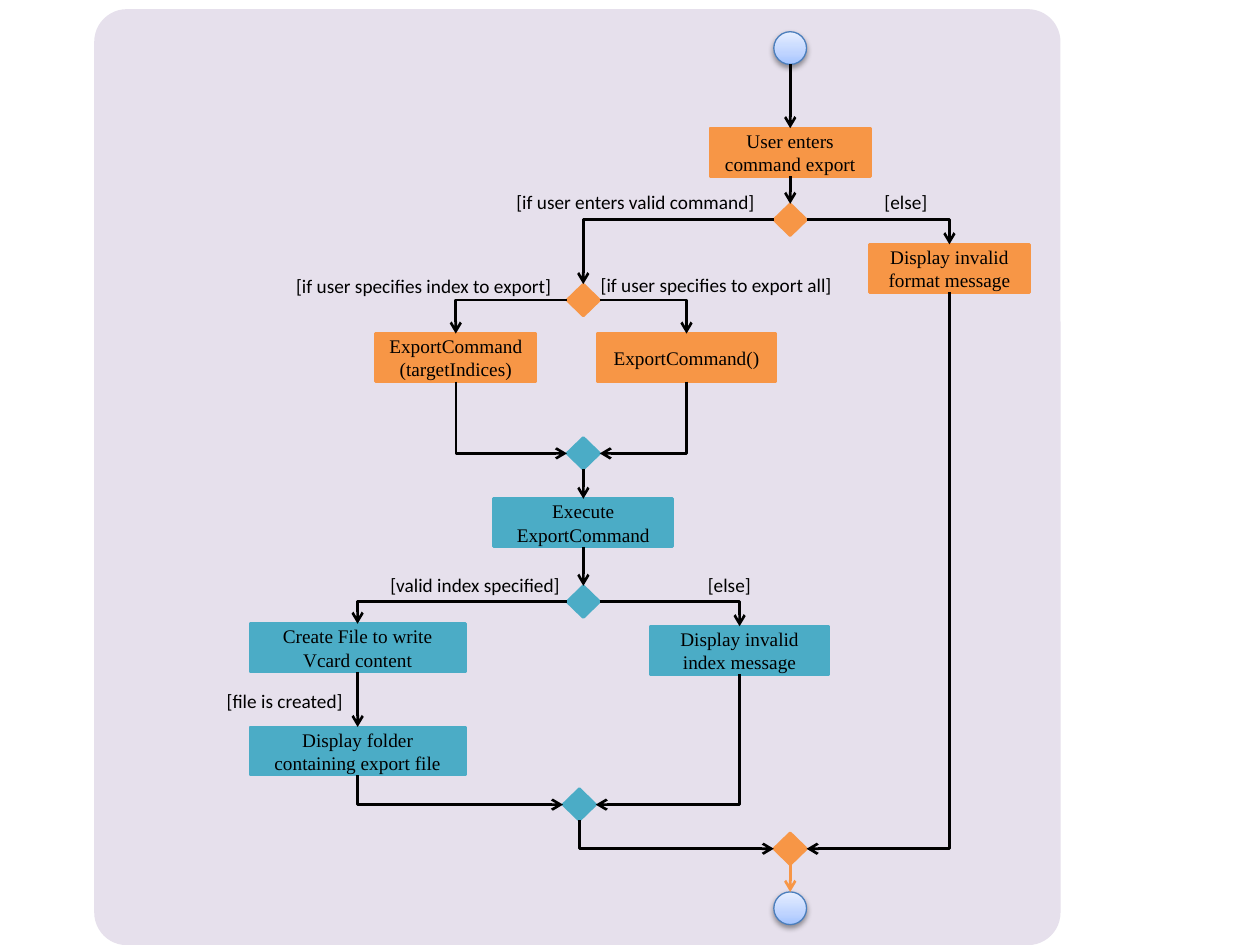
from dataclasses import dataclass

from lxml import etree
from pptx import Presentation
from pptx.dml.color import RGBColor
from pptx.enum import shapes, text
from pptx.oxml import ns
from pptx.util import Cm, Emu, Pt

TOP, LEFT, BOTTOM, RIGHT = range(4)


@dataclass(frozen=True)
class Theme:
    panel: str = "E6E0EC"
    command: str = "F79646"
    action: str = "4BACC6"
    ink: str = "000000"
    ring: str = "4B7EBC"
    glow: tuple = ((0, "A4C4FF"), (35, "BFD4FF"), (100, "E6EEFF"))
    step_font: str = "Times New Roman"
    label_font: str = "Calibri"
    size: float = 11
    stroke: float = 1.5
    hairline: float = 0.75


THEME = Theme()


def add_xml(parent, tag, **attributes):
    names = {key: str(value) for key, value in attributes.items()}
    return etree.SubElement(parent, ns.qn(tag), names)


def add_color(parent, color):
    return add_xml(parent, "a:srgbClr", val=color)


def style_text(box, words, font):
    para = box.text_frame.paragraphs[0]
    span = para.add_run()
    span.text = words
    para.font.name = font
    para.font.size = Pt(THEME.size)
    para.font.color.rgb = RGBColor.from_string(THEME.ink)
    return para, span


def add_node(page, kind, x, y, width, height, color):
    node = page.shapes.add_shape(
        kind, Cm(x - width / 2), Cm(y - height / 2), Cm(width), Cm(height))
    node.shadow.inherit = False
    node.fill.solid()
    node.fill.fore_color.rgb = RGBColor.from_string(color)
    node.line.color.rgb = RGBColor.from_string(color)
    node.line.width = Pt(THEME.stroke)
    return node


def add_panel(page):
    panel = add_node(page, shapes.MSO_SHAPE.ROUNDED_RECTANGLE,
                     11.64, 9.62, 19.48, 18.87, THEME.panel)
    panel.adjustments[0] = 0.035
    panel.line.fill.background()


def add_step(page, words, x, y, width, color):
    step = add_node(page, shapes.MSO_SHAPE.RECTANGLE, x, y, width, 0.97, color)
    step.text_frame.word_wrap = True
    step.text_frame.vertical_anchor = text.MSO_ANCHOR.MIDDLE
    para, span = style_text(step, words, THEME.step_font)
    para.alignment = text.PP_ALIGN.CENTER
    outline = add_xml(span._r.get_or_add_rPr(), "a:ln", w=Pt(THEME.hairline))
    add_color(add_xml(outline, "a:solidFill"), THEME.ink)
    return step


def add_decision(page, x, y, color):
    return add_node(page, shapes.MSO_SHAPE.FLOWCHART_DECISION,
                    x, y, 0.66, 0.64, color)


def add_terminal(page, x, y):
    terminal = add_node(page, shapes.MSO_SHAPE.OVAL, x, y, 0.66, 0.66, THEME.ring)
    terminal.line.width = Pt(THEME.hairline)
    terminal.fill.gradient()
    terminal.fill.gradient_angle = 90
    properties = terminal._element.spPr
    stops = properties.find(ns.qn("a:gradFill")).find(ns.qn("a:gsLst"))
    for stop in list(stops):
        stops.remove(stop)
    for percent, color in THEME.glow:
        add_color(add_xml(stops, "a:gs", pos=percent * 1000), color)
    shadow = add_xml(properties.find(ns.qn("a:effectLst")), "a:outerShdw",
                     blurRad=Pt(3.1), dist=Pt(1.6), dir=5400000, rotWithShape=0)
    add_xml(add_color(shadow, THEME.ink), "a:alpha", val=38000)
    return terminal


def add_label(page, words, left, top, width):
    label = page.shapes.add_textbox(Cm(left), Cm(top), Cm(width), Cm(0.74))
    label.text_frame.word_wrap = True
    label.text_frame.auto_size = text.MSO_AUTO_SIZE.SHAPE_TO_FIT_TEXT
    style_text(label, words, THEME.label_font)


def side_point(node, side):
    across = {LEFT: 0, RIGHT: node.width}.get(side, node.width // 2)
    down = {TOP: 0, BOTTOM: node.height}.get(side, node.height // 2)
    return node.left + across, node.top + down


def style_arrow(arrow, color):
    arrow.line.color.rgb = RGBColor.from_string(color)
    arrow.line.width = Pt(THEME.stroke)
    properties = arrow._element.spPr
    add_xml(properties.find(ns.qn("a:ln")), "a:tailEnd", type="arrow")
    add_xml(properties, "a:effectLst")


def add_drop(page, start, end, color=THEME.ink):
    arrow = page.shapes.add_connector(shapes.MSO_CONNECTOR.STRAIGHT, 0, 0, 0, 0)
    arrow.begin_connect(start, BOTTOM)
    arrow.end_connect(end, TOP)
    style_arrow(arrow, color)


def add_bend(page, start, start_side, end, end_side):
    x1, y1 = side_point(start, start_side)
    x2, y2 = side_point(end, end_side)
    arrow = page.shapes.add_connector(shapes.MSO_CONNECTOR.ELBOW, x1, y1, x2, y2)
    properties = arrow._element.spPr
    properties.find(ns.qn("a:prstGeom")).set("prst", "bentConnector2")
    if start_side == BOTTOM:
        run, fall = abs(x2 - x1), y2 - y1
        arrow.left = Emu((x1 + x2 - fall) // 2)
        arrow.top = Emu((y1 + y2 - run) // 2)
        arrow.width, arrow.height = Emu(fall), Emu(run)
        frame = properties.find(ns.qn("a:xfrm"))
        rightward = x2 > x1
        frame.set("rot", str((270 if rightward else 90) * 60000))
        frame.set("flipH", "1" if rightward else "0")
    style_arrow(arrow, THEME.ink)


def main():
    deck = Presentation()
    deck.slide_width, deck.slide_height = Cm(25.4), Cm(19.05)
    page = deck.slides.add_slide(deck.slide_layouts[6])
    add_panel(page)

    main_x, flow_x, file_x = 15.93, 11.76, 7.21
    command, action = THEME.command, THEME.action

    begin = add_terminal(page, main_x, 0.97)
    finish = add_terminal(page, main_x, 18.31)

    enter = add_step(page, "User enters command export", main_x, 3.07, 3.23, command)
    bad_format = add_step(page, "Display invalid format message", 19.14, 5.41, 3.23, command)
    by_index = add_step(page, "ExportCommand(targetIndices)", 9.19, 7.21, 3.23, command)
    export_all = add_step(page, "ExportCommand()", 13.84, 7.21, 3.61, command)
    execute = add_step(page, "Execute ExportCommand", flow_x, 10.54, 3.61, action)
    bad_index = add_step(page, "Display invalid index message", 14.91, 13.11, 3.61, action)
    create = add_step(page, "Create File to write Vcard content", file_x, 13.06, 4.34, action)
    folder = add_step(page, "Display folder containing export file", file_x, 15.14, 4.34, action)

    is_valid = add_decision(page, main_x, 4.43, command)
    has_index = add_decision(page, flow_x, 6.05, command)
    export_merge = add_decision(page, flow_x, 9.14, action)
    index_valid = add_decision(page, flow_x, 12.13, action)
    file_merge = add_decision(page, 11.68, 16.22, action)
    final_merge = add_decision(page, main_x, 17.11, command)

    for start, end in ((begin, enter), (enter, is_valid), (export_merge, execute),
                       (execute, index_valid), (create, folder)):
        add_drop(page, start, end)
    add_drop(page, final_merge, finish, command)

    for decision, left_step, right_step in ((is_valid, has_index, bad_format),
                                            (has_index, by_index, export_all),
                                            (index_valid, create, bad_index)):
        add_bend(page, decision, LEFT, left_step, TOP)
        add_bend(page, decision, RIGHT, right_step, TOP)

    for left_step, right_step, merge in ((by_index, export_all, export_merge),
                                         (folder, bad_index, file_merge),
                                         (file_merge, bad_format, final_merge)):
        add_bend(page, left_step, BOTTOM, merge, LEFT)
        add_bend(page, right_step, BOTTOM, merge, RIGHT)

    for words, left, top, width in (
            ("[if user enters valid command]", 10.16, 3.71, 5.44),
            ("[else]", 17.58, 3.71, 1.57),
            ("[if user specifies index to export]", 5.72, 5.41, 5.66),
            ("[if user specifies to export all]", 11.86, 5.38, 5.66),
            ("[else]", 14.02, 11.43, 8.38),
            ("[valid index specified]", 7.62, 11.43, 4.24),
            ("[file is created]", 4.32, 13.77, 5.77)):
        add_label(page, words, left, top, width)

    deck.save("out.pptx")


if __name__ == "__main__":
    main()
